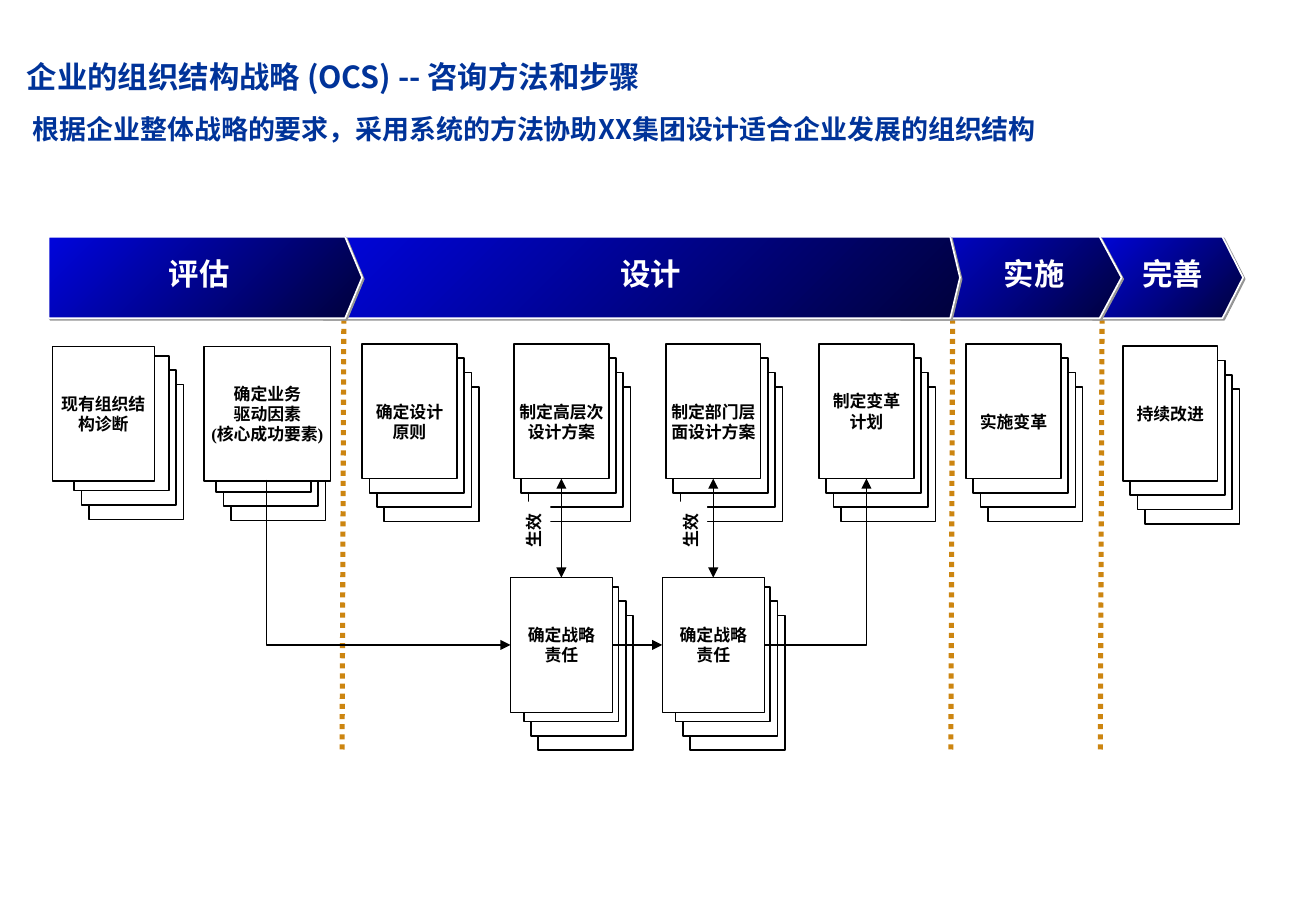
from pptx import Presentation
from pptx.dml.color import RGBColor
from pptx.enum.dml import MSO_LINE
from pptx.enum.shapes import MSO_CONNECTOR, MSO_SHAPE
from pptx.enum.text import MSO_ANCHOR, MSO_AUTO_SIZE, PP_ALIGN
from pptx.oxml.ns import qn
from pptx.util import Inches, Pt
from lxml.etree import SubElement

NAVY = RGBColor(0x00, 0x33, 0x99)
BLUE = RGBColor(0x00, 0x05, 0xDC)
DARK = RGBColor(0x00, 0x01, 0x3C)
GOLD = RGBColor(0xCC, 0x85, 0x10)
GREY = RGBColor(0x96, 0x96, 0x96)
BLACK = RGBColor(0, 0, 0)
WHITE = RGBColor(255, 255, 255)

SANS, SERIF = "Noto Sans CJK SC", "Times New Roman"


def grid(*cells):
    """Turn grid cells, ten to the inch, into lengths."""
    return [Inches(cell / 10) for cell in cells]


class Board:
    """Style and current slide; all places are in grid cells."""
    wide, high = 7.8, 11.1      # sheet in a pile
    step, fall = 0.6, 1.18      # shift from sheet to sheet
    top, base = 19.5, 26.2      # phase band

    def __init__(self, slide):
        self.slide = slide
        self.shapes = slide.shapes

    def letter(self, shape, text, size, color, font=SERIF, align=PP_ALIGN.CENTER,
               anchor=MSO_ANCHOR.MIDDLE, pad=0.1, drop=0, wrap=True):
        frame = shape.text_frame
        frame.text = text
        frame.word_wrap = wrap
        frame.auto_size = MSO_AUTO_SIZE.NONE
        frame.vertical_anchor = anchor
        side, head = grid(pad, pad + drop)
        frame.margin_left = frame.margin_right = frame.margin_bottom = side
        frame.margin_top = head
        for para in frame.paragraphs:
            para.alignment = align
            for run in para.runs:
                run.font.size, run.font.bold = Pt(size), True
                run.font.color.rgb = color
                run.font.name = font
                east = SubElement(run.font._element, qn("a:ea"))
                east.set("typeface", SANS)

    def head(self, shape, text, size, x, y, w, h):
        shape.left, shape.top, shape.width, shape.height = grid(x, y, w, h)
        self.letter(shape, text, size, NAVY, SANS, PP_ALIGN.LEFT,
                    MSO_ANCHOR.BOTTOM, pad=0)

    def label(self, text, size, color, x, y, w, h, **style):
        box = self.shapes.add_textbox(*grid(x, y, w, h))
        self.letter(box, text, size, color, **style)
        return box

    def sheet(self, x, y, w, line):
        card = self.shapes.add_shape(MSO_SHAPE.RECTANGLE, *grid(x, y, w, self.high))
        card.shadow.inherit = False
        card.fill.solid()
        card.fill.fore_color.rgb = WHITE
        card.line.color.rgb = BLACK
        card.line.width = Pt(line)
        return card

    def pile(self, text, x, y, w=wide, first=(step, fall), line=1, drop=0):
        for n in reversed(range(3)):
            self.sheet(x + first[0] + n * self.step,
                       y + first[1] + n * self.fall, self.wide, 1)
        self.letter(self.sheet(x, y, w, line), text, 10, BLACK, drop=drop)

    def band(self, text, left, neck, tip, x, w):
        mid = (self.top + self.base) / 2
        points = [(neck, self.top), (tip, mid), (neck, self.base), (left, self.base)]
        pen = self.shapes.build_freeform(*grid(left, self.top))
        pen.add_line_segments([grid(*point) for point in points], close=True)
        shape = pen.convert_to_shape()
        shape.fill.gradient()
        shape.fill.gradient_angle = 315
        for stop, color in zip(shape.fill.gradient_stops, (BLUE, DARK)):
            stop.color.rgb = color
        shape.line.color.rgb = WHITE
        shape.line.width = Pt(1)
        shape.shadow.inherit = False
        effect = shape._element.spPr.find(qn("a:effectLst"))
        cast = SubElement(effect, qn("a:outerShdw"), blurRad="0",
                          dist=str(Pt(1.4)), dir="2700000", rotWithShape="0")
        SubElement(cast, qn("a:srgbClr"), val=str(GREY))
        self.label(text, 18, WHITE, x, 20.4, w, 4.1,
                   anchor=MSO_ANCHOR.TOP, pad=0.6)

    def link(self, start, end, kind=MSO_CONNECTOR.STRAIGHT, color=BLACK,
             width=0.75, dash=None, tips=("tailEnd",)):
        line = self.shapes.add_connector(kind, *grid(*start, *end))
        line.line.color.rgb = color
        line.line.width = Pt(width)
        if dash:
            line.line.dash_style = dash
        props = line._element.spPr
        for tip in tips:
            SubElement(props.find(qn("a:ln")), qn("a:" + tip), type="triangle")
        SubElement(props, qn("a:effectLst"))
        return line

    def bend(self, start, end, down=False):
        """Draw one corner: across then up, or down then across."""
        if down:
            (x, y), (u, v) = start, end
            mid, row = (x + u) / 2, (y + v) / 2
            half, rise = (u - x) / 2, (v - y) / 2
            start, end = (mid + rise, row - half), (mid - rise, row + half)
        line = self.link(start, end, MSO_CONNECTOR.ELBOW)
        props = line._element.spPr
        props.find(qn("a:prstGeom")).set("prst", "bentConnector2")
        if down:
            props.find(qn("a:xfrm")).set("rot", str(270 * 60000))


deck = Presentation()
deck.slide_width, deck.slide_height = grid(108.3, 75)
board = Board(deck.slides.add_slide(deck.slide_layouts[5]))

# Headings
board.head(board.shapes.title, "企业的组织结构战略 (OCS) -- 咨询方法和步骤",
           18, 2.2, 1.8, 97.1, 6)
board.head(board.shapes.add_textbox(0, 0, 0, 0),
           "根据企业整体战略的要求，采用系统的方法协助XX集团设计适合企业发展的组织结构",
           16, 2.7, 5.9, 100.8, 6)

# Upper row of steps
for text, x, y, drop in [
    ("制定变革\n计划", 67.4, 28.3, 0),
    ("制定高层次设计方案", 42.3, 28.3, 1.7),
    ("制定部门层面设计方案", 54.8, 28.3, 1.7),
    ("实施变革", 79.5, 28.3, 1.7),
    ("确定设计\n原则", 29.8, 28.3, 1.7),
    ("持续改进", 92.4, 28.5, 0),
]:
    board.pile(text, x, y, drop=drop)
board.pile("确定业务\n驱动因素\n(核心成功要素)", 16.8, 28.5, 10.4, (1, 0.9), 0.75)
board.pile("现有组织结构诊断", 4.3, 28.5, 8.4, (1.8, 0.8), 0.75)

# Phase borders
for x in (28.3, 78.4, 90.7):
    board.link((x, 25.4), (x - 0.15, 62), color=GOLD, width=3,
               dash=MSO_LINE.ROUND_DOT, tips=())

# Lower row of steps
for x in (42, 54.5):
    board.pile("确定战略\n责任", x, 47.55, 8.4, (1.1, 0.75), 0.75)

# Flow between the steps
board.bend((21.9, 39.5), (42, 53.1), down=True)
for x, left in ((46.2, 41.6), (58.7, 54.5)):
    board.link((x, 39.4), (x, 47.55), tips=("headEnd", "tailEnd"))
    note = board.label("生效", 10, BLACK, left, 42.3, 4.7, 2.7, pad=0.5, wrap=False)
    note.rotation = 270
    note.fill.solid()
    note.fill.fore_color.rgb = WHITE
board.link((50.4, 53.1), (54.5, 53.1))
board.bend((62.9, 53.1), (71.3, 39.4))

# Phases, the last one at the back
for phase in [
    ("完善", 89.8, 100.6, 102.3, 90.6, 11.8),
    ("实施", 74, 90.5, 92.3, 78.2, 13.8),
    ("设计", 26.5, 78.2, 79, 29.8, 47.5),
    ("评估", 4, 28.4, 29.8, 4.8, 23.2),
]:
    board.band(*phase)

deck.save("out.pptx")
